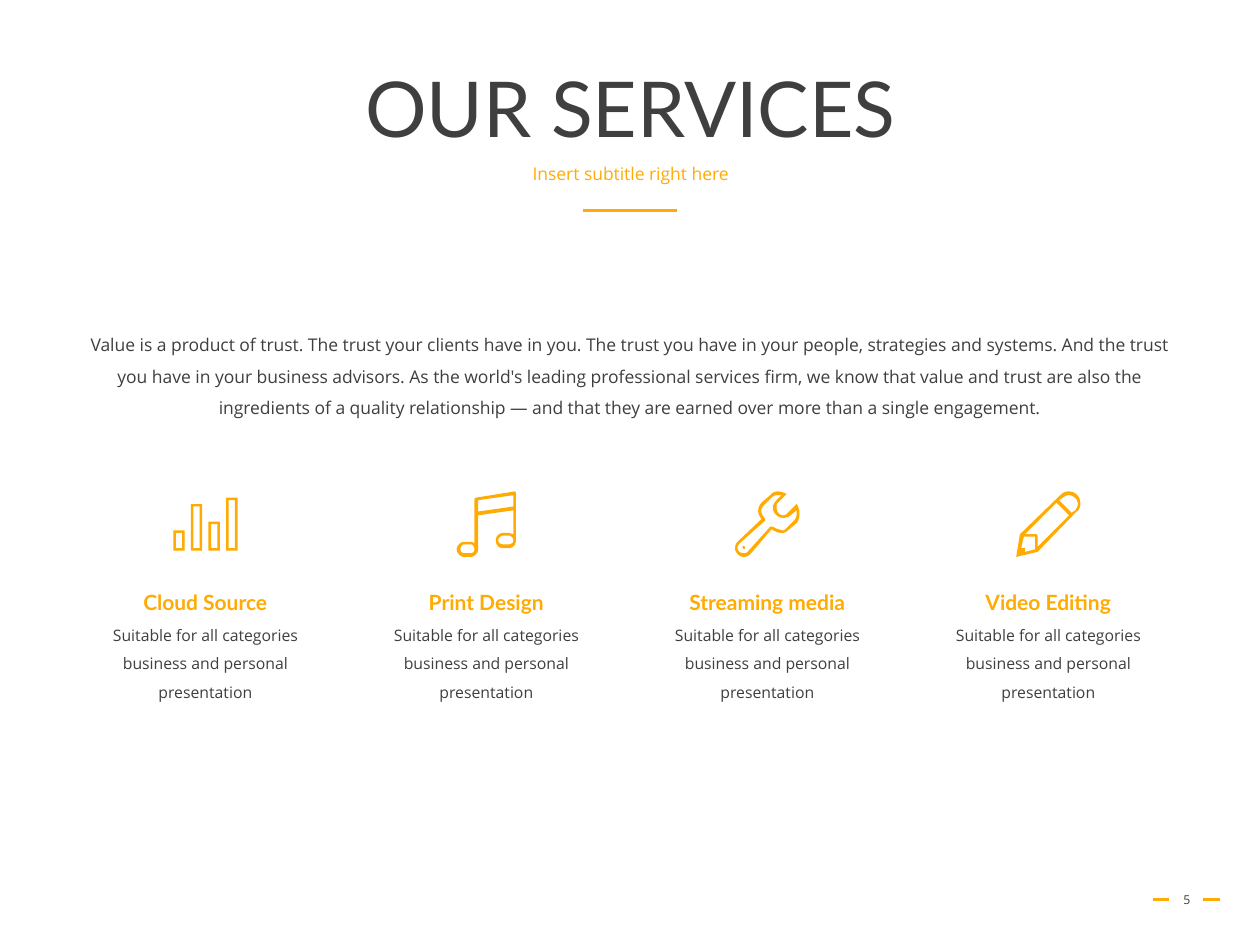
from lxml import etree
from pptx import Presentation
from pptx.dml.color import RGBColor
from pptx.enum import shapes, text
from pptx.oxml import ns
from pptx.util import Inches, Pt

COLORS = {"accent": "FFAB03", "ink": "3F3F3F"}
TITLE = {"name": "Lato", "size": Pt(44), "bold": False}
HEADING = {"name": "Lato", "size": Pt(12), "bold": True}
BODY = {"name": "Open Sans", "size": Pt(10)}
DETAIL = {"name": "Open Sans", "size": Pt(9)}
NUMBER = {"name": "Open Sans", "size": Pt(7)}

INTRO = ("Value is a product of trust. The trust your clients have in you. "
         "The trust you have in your people, strategies and systems. And the trust "
         "you have in your business advisors. As the world's leading professional "
         "services firm, we know that value and trust are also the ingredients of a "
         "quality relationship — and that they are earned over more than a single "
         "engagement.")
SUMMARY = "Suitable for all categories business and personal presentation"

FIRST_CENTER, COLUMN_PITCH, COLUMN_WIDTH, ICON_TOP = 1.63, 2.23, 2.1, 3.9
CURVE_STEPS = 8
FINENESS = 10  # freeform units per hundredth of an inch


def rectangle(left, top, right, bottom):
    return [(left, top), (right, top), (right, bottom), (left, bottom)]


def bar_outlines():
    """Four hollow bars standing on one baseline."""
    outlines = []
    for column, top in enumerate((31, 10, 24, 5)):
        left = 14 * column
        outlines.append(rectangle(left, top, left + 9, 47))
        outlines.append(rectangle(left + 2, top + 2, left + 7, 45))
    return outlines


# Icon outlines in hundredths of an inch: a pair is a corner,
# six numbers are a Bezier curve (two controls and the end).
NOTE = [
    [(46, 0), (15, 5), (14, 6), (14, 41), (14, 41, 12, 40, 11, 40), (6, 40),
     (3, 40, 0, 43, 0, 46), (0, 49, 3, 52, 6, 52), (11, 52),
     (14, 52, 17, 49, 17, 46), (17, 19), (45, 15), (45, 34),
     (44, 34, 43, 33, 41, 33), (37, 33), (33, 33, 31, 36, 31, 39),
     (31, 42, 33, 45, 37, 45), (41, 45), (45, 45, 47, 42, 47, 39), (47, 1)],
    [(11, 49), (6, 49), (4, 49, 3, 48, 3, 46), (3, 44, 4, 42, 6, 42), (11, 42),
     (13, 42, 14, 44, 14, 46), (14, 48, 13, 49, 11, 49)],
    [(41, 42), (37, 42), (35, 42, 33, 41, 33, 39), (33, 37, 35, 35, 37, 35),
     (41, 35), (43, 35, 45, 37, 45, 39), (45, 41, 43, 42, 41, 42)],
    [(45, 12), (17, 16), (17, 7), (45, 3)],
]
WRENCH = [
    [(49, 10), (42, 17), (41, 18, 40, 19, 38, 19), (35, 19, 33, 16, 33, 13),
     (33, 11, 33, 10, 34, 9), (33, 7), (31, 9, 30, 11, 30, 13),
     (30, 17, 34, 21, 38, 21), (41, 21, 43, 20, 44, 19), (49, 15),
     (49, 18, 49, 21, 47, 23), (41, 29), (40, 30, 39, 31, 38, 31),
     (38, 31, 33, 30, 30, 28), (28, 28), (10, 48), (9, 49, 8, 49, 7, 49),
     (4, 49, 2, 47, 2, 45), (2, 43, 3, 42, 4, 41), (23, 24),
     (24, 23, 24, 23, 24, 22), (20, 17, 20, 14, 23, 11), (29, 5),
     (31, 3, 33, 3, 34, 3), (37, 3), (33, 7), (34, 9), (40, 3), (41, 2),
     (39, 1, 36, 0, 34, 0), (32, 0, 29, 1, 28, 3), (21, 9),
     (17, 14, 18, 18, 21, 22), (2, 40), (1, 41, 0, 43, 0, 45),
     (0, 48, 3, 52, 7, 52), (9, 52, 11, 51, 12, 50), (29, 30),
     (33, 33, 37, 33, 38, 33), (39, 33, 41, 32, 42, 31), (49, 25),
     (52, 21, 52, 15, 49, 10)],
    [(6, 44), (6, 46, 8, 46, 8, 45), (8, 43, 6, 43, 6, 44)],
]
PENCIL = [
    [(42, 0), (39, 0, 37, 1, 35, 3), (3, 34), (0, 52), (17, 48), (48, 16),
     (50, 15, 51, 12, 51, 10), (51, 4, 47, 0, 42, 0)],
    [(15, 46), (7, 48), (7, 45), (4, 45), (6, 36), (15, 36)],
    [(17, 44), (17, 35), (16, 34), (7, 34), (32, 9), (42, 19)],
    [(47, 15), (44, 17), (34, 7), (37, 5), (37, 5, 39, 3, 42, 3),
     (45, 3, 49, 6, 49, 10), (49, 12, 48, 13, 47, 15)],
]

SERVICES = [
    ("Cloud Source", bar_outlines()),
    ("Print Design", NOTE),
    ("Streaming media", WRENCH),
    ("Video Editing", PENCIL),
]


def rgb(color):
    return RGBColor.from_string(COLORS[color])


def write(shape, words, style, color, spacing=1.0, anchor=text.MSO_ANCHOR.TOP):
    frame = shape.text_frame
    frame.text = words
    frame.word_wrap = True
    frame.vertical_anchor = anchor
    paragraph = frame.paragraphs[0]
    paragraph.alignment = text.PP_ALIGN.CENTER
    paragraph.line_spacing = spacing
    paragraph.space_before = Pt(0)
    font = paragraph.runs[0].font
    for attribute, value in style.items():
        setattr(font, attribute, value)
    font.color.rgb = rgb(color)


def add_text(slide, box, words, style, color, **layout):
    label = slide.shapes.add_textbox(*map(Inches, box))
    write(label, words, style, color, **layout)


def add_rule(slide, left, right, y):
    rule = slide.shapes.add_connector(
        shapes.MSO_CONNECTOR.STRAIGHT, *map(Inches, (left, y, right, y)))
    rule.line.color.rgb = rgb("accent")
    rule.line.width = Pt(1.75)
    etree.SubElement(rule._element.spPr, ns.qn("a:effectLst"))


def flatten(outline):
    """Turn corners and Bezier curves into points in freeform units."""
    points = []
    for step in outline:
        if len(step) == 2:
            points.append(step)
            continue
        x0, y0 = points[-1]
        x1, y1, x2, y2, x3, y3 = step
        for i in range(1, CURVE_STEPS + 1):
            t = i / CURVE_STEPS
            a, b, c, d = (1 - t) ** 3, 3 * t * (1 - t) ** 2, 3 * t * t * (1 - t), t ** 3
            points.append((a * x0 + b * x1 + c * x2 + d * x3,
                           a * y0 + b * y1 + c * y2 + d * y3))
    return [(x * FINENESS, y * FINENESS) for x, y in points]


def add_icon(slide, center, outlines):
    contours = [flatten(outline) for outline in outlines]
    unit = Inches(0.01) / FINENESS
    width = max(x for contour in contours for x, _ in contour) * unit
    builder = slide.shapes.build_freeform(*contours[0][0], scale=unit)
    builder.add_line_segments(contours[0][1:])
    for contour in contours[1:]:
        builder.move_to(*contour[0])
        builder.add_line_segments(contour[1:])
    icon = builder.convert_to_shape(int(Inches(center) - width / 2), Inches(ICON_TOP))
    icon.shadow.inherit = False
    icon.fill.solid()
    icon.fill.fore_color.rgb = rgb("accent")
    icon.line.fill.background()


def add_service(slide, center, heading, outlines):
    left = center - COLUMN_WIDTH / 2
    add_icon(slide, center, outlines)
    add_text(slide, (left, 4.63, COLUMN_WIDTH, 0.3), heading, HEADING, "accent")
    add_text(slide, (left, 4.84, COLUMN_WIDTH, 0.78), SUMMARY, DETAIL, "ink", spacing=1.5)


def main():
    deck = Presentation()
    deck.slide_width, deck.slide_height = Inches(10), Inches(7.5)
    slide = deck.slides.add_slide(deck.slide_layouts[5])

    # Title, subtitle and rule
    title = slide.shapes.title
    title.left, title.top, title.width, title.height = map(Inches, (0.69, 0.4, 8.63, 0.98))
    write(title, "OUR SERVICES", TITLE, "ink", spacing=0.9, anchor=text.MSO_ANCHOR.MIDDLE)
    add_text(slide, (0.69, 1.26, 8.63, 0.4), "Insert subtitle right here", BODY,
             "accent", spacing=0.9)
    add_rule(slide, 4.63, 5.37, 1.67)

    # Introduction and services
    add_text(slide, (0.52, 2.52, 8.95, 1.04), INTRO, BODY, "ink", spacing=1.5)
    for column, service in enumerate(SERVICES):
        add_service(slide, FIRST_CENTER + column * COLUMN_PITCH, *service)

    # Page number between two dashes
    add_text(slide, (9.2, 6.94, 0.44, 0.4), "5", NUMBER, "ink",
             anchor=text.MSO_ANCHOR.MIDDLE)
    for left in (9.15, 9.55):
        add_rule(slide, left, left + 0.13, 7.14)

    deck.save("out.pptx")


if __name__ == "__main__":
    main()
